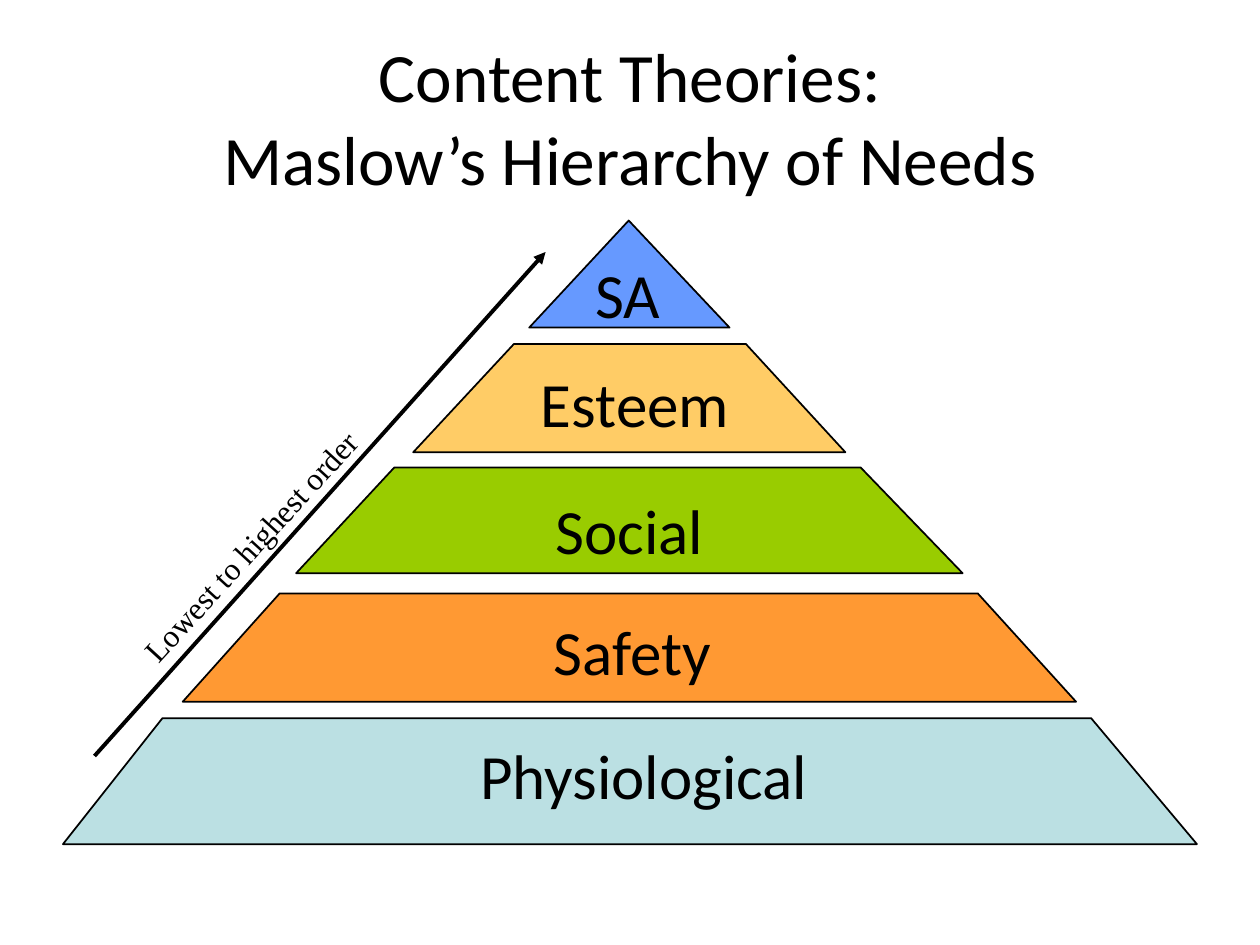
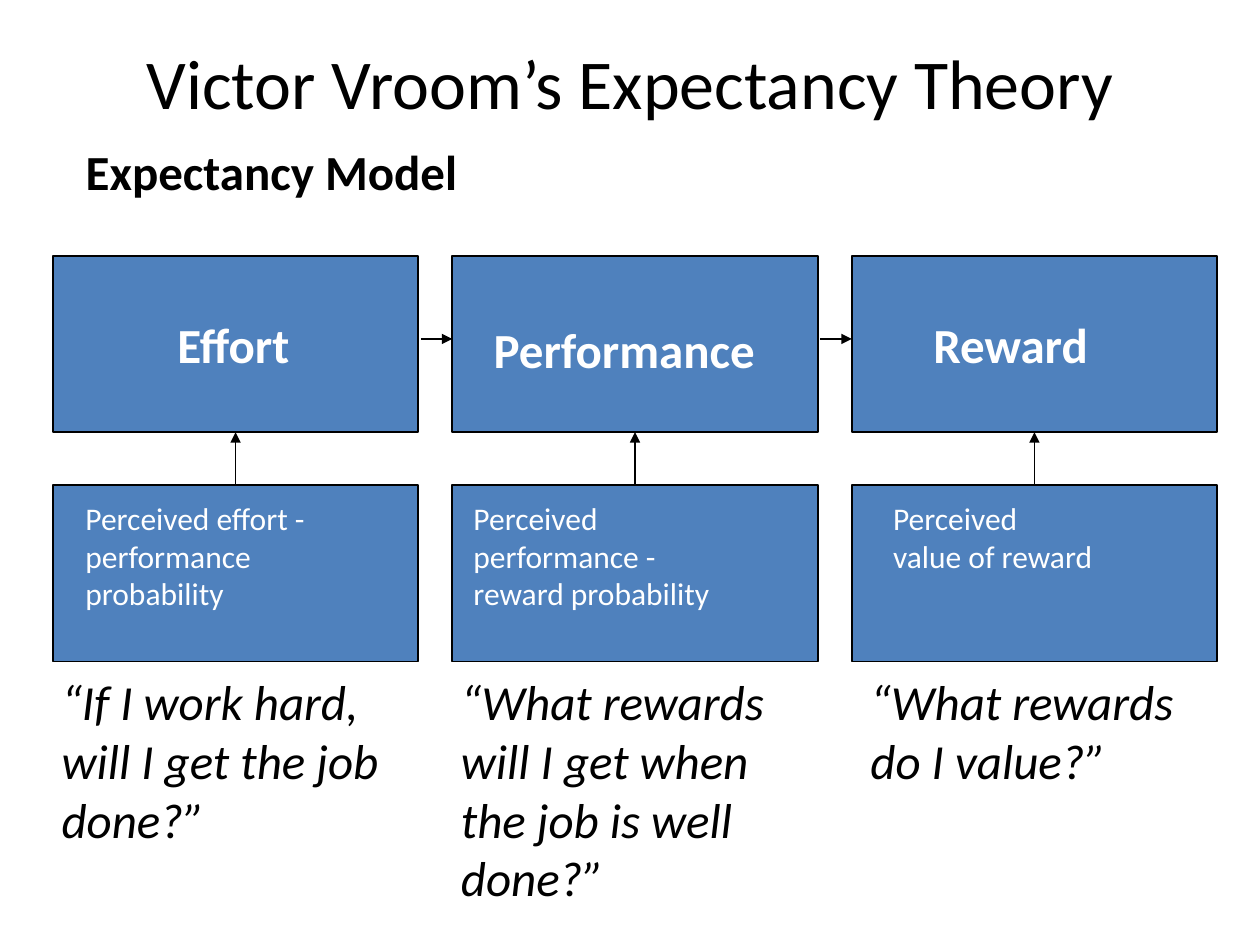
from dataclasses import dataclass

import pptx
import pptx.dml.color
import pptx.enum.shapes
import pptx.enum.text
import pptx.oxml
import pptx.oxml.ns
import pptx.presentation
import pptx.shapes.autoshape
import pptx.shapes.connector
import pptx.slide
import pptx.util

EMU_PER_PX = 9144  # 100 px to the inch

ALIGN = pptx.enum.text.PP_ALIGN
ANCHOR = pptx.enum.text.MSO_ANCHOR


@dataclass(frozen=True)
class Theme:
    font: str = "Calibri"
    serif: str = "Times New Roman"
    ink: str = "000000"
    paper: str = "FFFFFF"
    box: str = "4F81BD"
    title_size: float = 40
    label_size: float = 36
    heading_size: float = 28
    detail_size: float = 18
    outline: float = 1
    heavy_line: float = 2.25


THEME = Theme()


@dataclass(frozen=True)
class Area:
    left: int
    top: int
    width: int
    height: int


@dataclass(frozen=True)
class TextStyle:
    size: float
    color: str = THEME.ink
    font: str = THEME.font
    bold: bool = False
    italic: bool = False
    align: ALIGN = ALIGN.LEFT
    anchor: ANCHOR = ANCHOR.TOP


@dataclass(frozen=True)
class Level:
    label: str
    fill: str
    top: int
    bottom: int
    top_left: int
    top_right: int
    bottom_left: int
    bottom_right: int
    label_area: Area


@dataclass(frozen=True)
class Column:
    heading: str
    heading_area: Area
    detail: tuple[str, ...]
    detail_area: Area
    quote: tuple[str, ...]
    quote_area: Area


TITLE = TextStyle(THEME.title_size, align=ALIGN.CENTER, anchor=ANCHOR.MIDDLE)
PYRAMID_TITLE = TextStyle(39.6, align=ALIGN.CENTER, anchor=ANCHOR.MIDDLE)
LEVEL_LABEL = TextStyle(THEME.label_size, align=ALIGN.CENTER)
SUBTITLE = TextStyle(THEME.heading_size, bold=True)
HEADING = TextStyle(THEME.heading_size, THEME.paper, bold=True)
DETAIL = TextStyle(THEME.detail_size, THEME.paper)
QUOTE = TextStyle(THEME.heading_size, italic=True)
ARROW_LABEL = TextStyle(THEME.detail_size, font=THEME.serif)

LEVELS = (
    Level("Physiological", "BBE0E3", 570, 670, 129, 866, 50, 950, Area(352, 580, 318, 70)),
    Level("Safety", "FF9933", 471, 557, 222, 776, 145, 854, Area(422, 481, 160, 70)),
    Level("Social", "99CC00", 371, 455, 313, 683, 235, 764, Area(283, 385, 433, 70)),
    Level("Esteem", "FFCC66", 273, 359, 408, 592, 328, 671, Area(418, 284, 172, 70)),
    Level("SA", "6699FF", 175, 260, 499, 499, 420, 579, Area(462, 198, 72, 70)),
)

COLUMNS = (
    Column(
        "Effort", Area(131, 245, 120, 57),
        ("Perceived effort -", "performance", "probability"), Area(58, 391, 204, 101),
        ("“If I work hard,", "will I get the job", "done?”"), Area(39, 528, 292, 150),
    ),
    Column(
        "Performance", Area(382, 249, 236, 57),
        ("Perceived", "performance -", "reward probability"), Area(366, 391, 293, 101),
        ("“What rewards", "will I get when", "the job is well done?”"), Area(356, 528, 294, 197),
    ),
    Column(
        "Reward", Area(731, 245, 152, 57),
        ("Perceived", "value of reward"), Area(699, 391, 190, 70),
        ("“What rewards", "do I value?”"), Area(681, 528, 277, 103),
    ),
)

BOX_LEFT, BOX_PITCH, BOX_WIDTH, BOX_HEIGHT = 42, 317, 290, 140
HEADING_TOP, DETAIL_TOP = 203, 385
FLOW_Y, FLOW_GAP = 269, 2


def px(value: int) -> pptx.util.Emu:
    return pptx.util.Emu(value * EMU_PER_PX)


def rgb(color: str) -> pptx.dml.color.RGBColor:
    return pptx.dml.color.RGBColor.from_string(color)


def place(area: Area) -> tuple[pptx.util.Emu, ...]:
    return px(area.left), px(area.top), px(area.width), px(area.height)


def paint(shape: pptx.shapes.autoshape.Shape, fill: str) -> None:
    shape.shadow.inherit = False
    shape.fill.solid()
    shape.fill.fore_color.rgb = rgb(fill)
    shape.line.color.rgb = rgb(THEME.ink)
    shape.line.width = pptx.util.Pt(THEME.outline)


def add_text(
    slide: pptx.slide.Slide, area: Area, lines: tuple[str, ...], style: TextStyle
) -> pptx.shapes.autoshape.Shape:
    shape = slide.shapes.add_textbox(*place(area))
    frame = shape.text_frame
    frame.word_wrap = True
    frame.vertical_anchor = style.anchor
    for index, line in enumerate(lines):
        paragraph = frame.add_paragraph() if index else frame.paragraphs[0]
        paragraph.alignment = style.align
        run = paragraph.add_run()
        run.text = line
        run.font.name = style.font
        run.font.size = pptx.util.Pt(style.size)
        run.font.bold = style.bold
        run.font.italic = style.italic
        run.font.color.rgb = rgb(style.color)
    return shape


def add_arrow(
    slide: pptx.slide.Slide, start: tuple[int, int], end: tuple[int, int], width: float
) -> pptx.shapes.connector.Connector:
    arrow = slide.shapes.add_connector(
        pptx.enum.shapes.MSO_CONNECTOR.STRAIGHT, *map(px, start + end)
    )
    arrow.line.color.rgb = rgb(THEME.ink)
    arrow.line.width = pptx.util.Pt(width)
    head = pptx.oxml.parse_xml(
        f'<a:tailEnd {pptx.oxml.ns.nsdecls("a")} type="triangle"/>'
    )
    arrow.line._get_or_add_ln().append(head)
    effects = pptx.oxml.parse_xml(f'<a:effectLst {pptx.oxml.ns.nsdecls("a")}/>')
    arrow._element.spPr.append(effects)
    return arrow


def add_box(slide: pptx.slide.Slide, left: int, top: int) -> pptx.shapes.autoshape.Shape:
    box = slide.shapes.add_shape(
        pptx.enum.shapes.MSO_SHAPE.RECTANGLE,
        *place(Area(left, top, BOX_WIDTH, BOX_HEIGHT)),
    )
    paint(box, THEME.box)
    return box


def add_level(slide: pptx.slide.Slide, level: Level) -> None:
    # A level whose top corners coincide becomes a triangle
    corners = list(dict.fromkeys((
        (level.top_left, level.top),
        (level.top_right, level.top),
        (level.bottom_right, level.bottom),
        (level.bottom_left, level.bottom),
    )))
    builder = slide.shapes.build_freeform(*corners[0], scale=EMU_PER_PX)
    builder.add_line_segments(corners[1:], close=True)
    paint(builder.convert_to_shape(), level.fill)
    add_text(slide, level.label_area, (level.label,), LEVEL_LABEL)


def add_column(slide: pptx.slide.Slide, column: Column, left: int) -> None:
    heading_box = add_box(slide, left, HEADING_TOP)
    detail_box = add_box(slide, left, DETAIL_TOP)
    add_text(slide, column.heading_area, (column.heading,), HEADING)
    add_text(slide, column.detail_area, column.detail, DETAIL)
    add_text(slide, column.quote_area, column.quote, QUOTE)

    middle = left + BOX_WIDTH // 2
    arrow = add_arrow(
        slide, (middle, DETAIL_TOP), (middle, HEADING_TOP + BOX_HEIGHT), THEME.outline
    )
    arrow.begin_connect(detail_box, 0)
    arrow.end_connect(heading_box, 2)


def add_blank_slide(presentation: pptx.presentation.Presentation) -> pptx.slide.Slide:
    slide = presentation.slides.add_slide(presentation.slide_layouts[6])
    slide.background.fill.solid()
    slide.background.fill.fore_color.rgb = rgb(THEME.paper)
    return slide


def build_hierarchy(presentation: pptx.presentation.Presentation) -> None:
    slide = add_blank_slide(presentation)
    add_text(
        slide, Area(50, 30, 900, 125),
        ("Content Theories:", "Maslow’s Hierarchy of Needs"), PYRAMID_TITLE,
    )
    for level in LEVELS:
        add_level(slide, level)

    # Rising order beside the pyramid
    add_arrow(slide, (75, 600), (433, 200), THEME.heavy_line)
    order = add_text(
        slide, Area(54, 376, 358, 40), ("Lowest to highest order",), ARROW_LABEL
    )
    order.rotation = 312.5


def build_expectancy(presentation: pptx.presentation.Presentation) -> None:
    slide = add_blank_slide(presentation)
    add_text(slide, Area(0, 21, 1000, 87), ("Victor Vroom’s Expectancy Theory",), TITLE)
    subtitle = add_text(slide, Area(20, 107, 961, 622), ("Expectancy Model",), SUBTITLE)
    subtitle.text_frame.margin_left = px(48)

    for index, column in enumerate(COLUMNS):
        left = BOX_LEFT + index * BOX_PITCH
        add_column(slide, column, left)
        if index:
            previous_right = left - BOX_PITCH + BOX_WIDTH
            add_arrow(
                slide, (previous_right + FLOW_GAP, FLOW_Y), (left, FLOW_Y), THEME.outline
            )


def main() -> None:
    presentation = pptx.Presentation()
    presentation.slide_width = px(1000)
    presentation.slide_height = px(750)
    build_hierarchy(presentation)
    build_expectancy(presentation)
    presentation.save("out.pptx")


if __name__ == "__main__":
    main()
